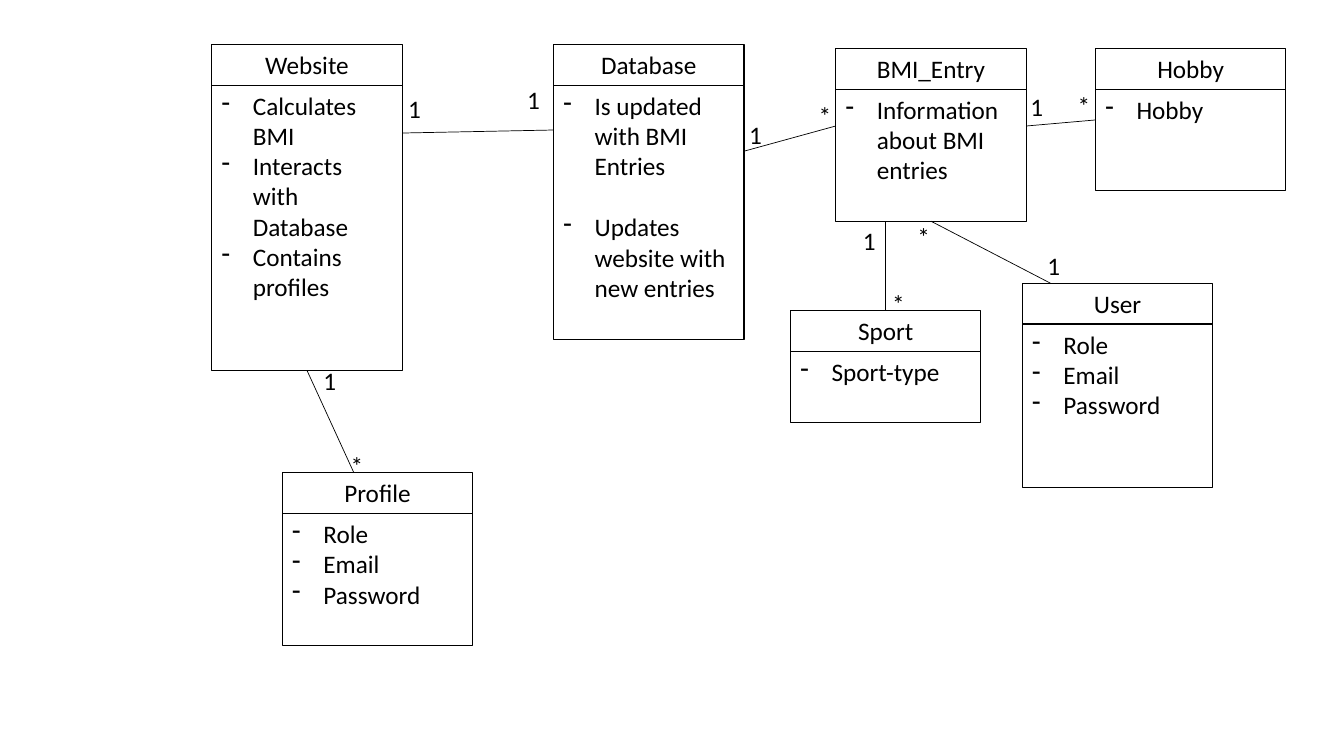
from pptx import Presentation
from pptx.dml.color import RGBColor
from pptx.enum.shapes import MSO_CONNECTOR, MSO_SHAPE
from pptx.enum.text import MSO_ANCHOR, PP_ALIGN
from pptx.oxml.ns import qn
from pptx.util import Inches, Pt

RECTANGLE = MSO_SHAPE.RECTANGLE
STRAIGHT = MSO_CONNECTOR.STRAIGHT
TOP, CENTER, LEFT = MSO_ANCHOR.TOP, PP_ALIGN.CENTER, PP_ALIGN.LEFT
TOP_SIDE, BOTTOM_SIDE = 0, 2

WIDTH, HEIGHT = Inches(13.33), Inches(7.5)
BLACK = "000000"
FONT, SIZE = "Calibri", Pt(18)
INDENT = Inches(0.31)

# All positions and lengths are percentages of the slide's width or height.
CLASS_WIDTH, TITLE_HEIGHT = 14.18, 5.39
LABEL_WIDTH = 2.03

# Name: left, top, body height, items
CLASSES = {
    "Database": (41.18, 5.87, 33.6, ["Is updated with BMI Entries",
                                     "Updates website with new entries"]),
    "BMI_Entry": (62.18, 6.4, 17.47, ["Information about BMI entries"]),
    "User": (76.06, 37.47, 21.6, ["Role", "Email", "Password"]),
    "Sport": (58.81, 41.07, 9.47, ["Sport-type"]),
    "Hobby": (81.5, 6.4, 13.47, ["Hobby"]),
    "Website": (15.75, 5.87, 37.73, ["Calculates BMI", "Interacts with Database",
                                     "Contains profiles"]),
    "Profile": (21, 62.53, 17.47, ["Role", "Email", "Password"]),
}
ITEM_GAPS = {"Database": Pt(22)}

LINKS = [
    ((55.36, 20), (62.18, 16.67)),
    ((76.36, 16.67), (81.5, 15.87)),
    ((29.93, 17.6), (41.18, 17.2)),
]

LABELS = {
    "1": [(75.92, 11.47), (77.19, 32.4), (63.47, 29.2), (54.99, 15.07),
          (29.63, 11.73), (38.48, 10.53), (23.33, 47.6)],
    "*": [(79.44, 11.33), (65.64, 37.47), (60.17, 12.67), (67.52, 28.67),
          (25.36, 58.93)],
}


def across(share):
    return round(WIDTH * share / 100)


def down(share):
    return round(HEIGHT * share / 100)


def color(value):
    return RGBColor.from_string(value)


def style_text(para, alignment=LEFT):
    para.alignment = alignment
    for span in para.runs:
        span.font.name = FONT
        span.font.size = SIZE
        span.font.color.rgb = color(BLACK)


def add_dash(para):
    properties = para._p.get_or_add_pPr()
    properties.set("marL", str(INDENT))
    properties.set("indent", str(-INDENT))
    bullet = properties.makeelement(qn("a:buChar"), {"char": "-"})
    properties.append(bullet)


def add_box(page, left, top, height):
    box = page.shapes.add_shape(RECTANGLE, across(left), down(top),
                                across(CLASS_WIDTH), down(height))
    box.shadow.inherit = False
    box.fill.background()
    box.line.color.rgb = color(BLACK)
    box.line.width = Pt(0.75)
    box.text_frame.word_wrap = True
    box.text_frame.vertical_anchor = TOP
    return box


def add_class(page, name, left, top, body_height, items):
    """Draw a class and return its title and body boxes."""
    title = add_box(page, left, top, TITLE_HEIGHT)
    title.text_frame.text = name
    style_text(title.text_frame.paragraphs[0], CENTER)

    body = add_box(page, left, top + TITLE_HEIGHT, body_height)
    body.text_frame.text = "\n".join(items)
    for index, para in enumerate(body.text_frame.paragraphs):
        style_text(para)
        if index and name in ITEM_GAPS:
            para.space_before = ITEM_GAPS[name]
        add_dash(para)
    return title, body


def add_link(page, start, end):
    link = page.shapes.add_connector(STRAIGHT, across(start[0]), down(start[1]),
                                     across(end[0]), down(end[1]))
    link.line.color.rgb = color(BLACK)
    link.line.width = Pt(0.5)
    properties = link._element.spPr
    properties.append(properties.makeelement(qn("a:effectLst"), {}))
    return link


def add_label(page, text, left, top):
    box = page.shapes.add_textbox(across(left), down(top),
                                  across(LABEL_WIDTH), down(TITLE_HEIGHT))
    box.text_frame.word_wrap = True
    box.text_frame.text = text
    style_text(box.text_frame.paragraphs[0])


def main():
    deck = Presentation()
    deck.slide_width, deck.slide_height = WIDTH, HEIGHT
    page = deck.slides.add_slide(deck.slide_layouts[6])

    boxes = {name: add_class(page, name, *details)
             for name, details in CLASSES.items()}
    entry_body, website_body = boxes["BMI_Entry"][1], boxes["Website"][1]

    for start, end in LINKS:
        add_link(page, start, end)
    sport_link = add_link(page, (65.9, 41.07), (65.9, 29.2))
    sport_link.begin_connect(boxes["Sport"][0], TOP_SIDE)
    user_link = add_link(page, (78.17, 37.47), (69.27, 29.2))
    user_link.end_connect(entry_body, BOTTOM_SIDE)
    profile_link = add_link(page, (26.33, 62.53), (22.84, 48.99))
    profile_link.end_connect(website_body, BOTTOM_SIDE)

    for text, places in LABELS.items():
        for left, top in places:
            add_label(page, text, left, top)
    deck.save("out.pptx")


if __name__ == "__main__":
    main()
